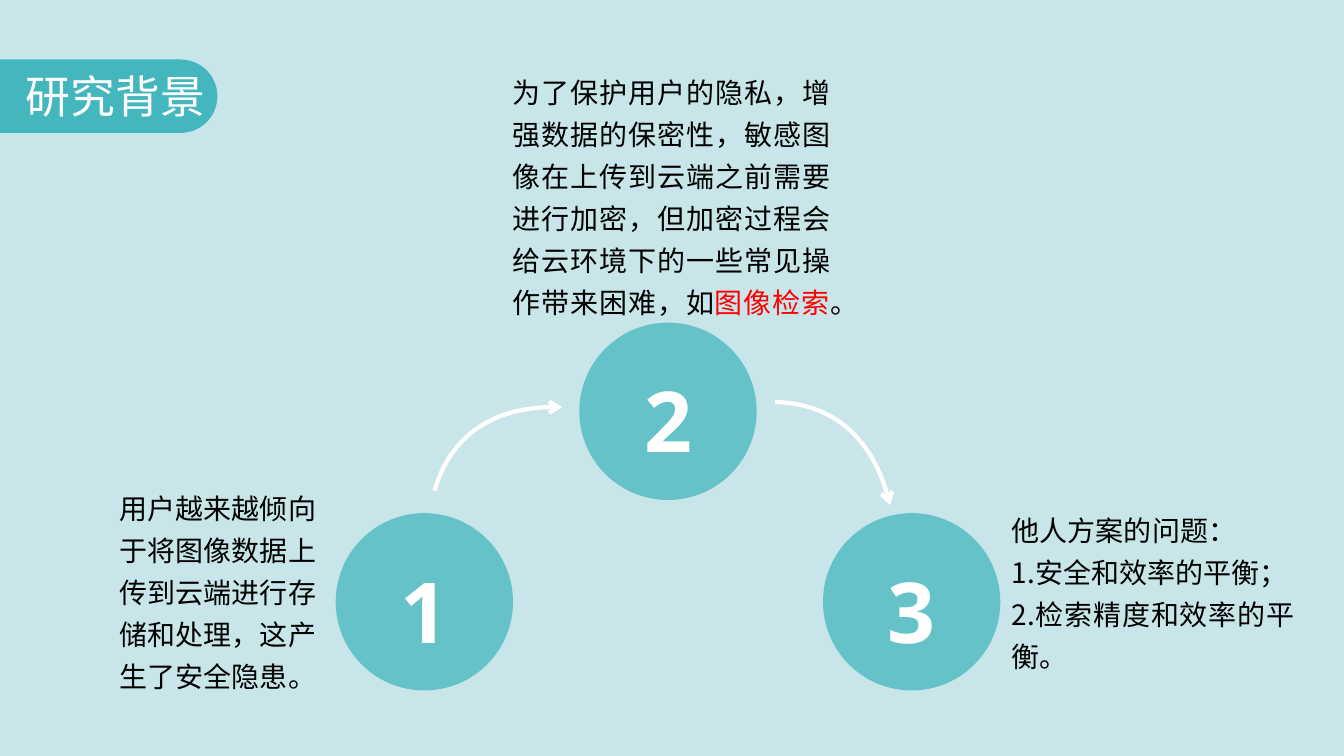
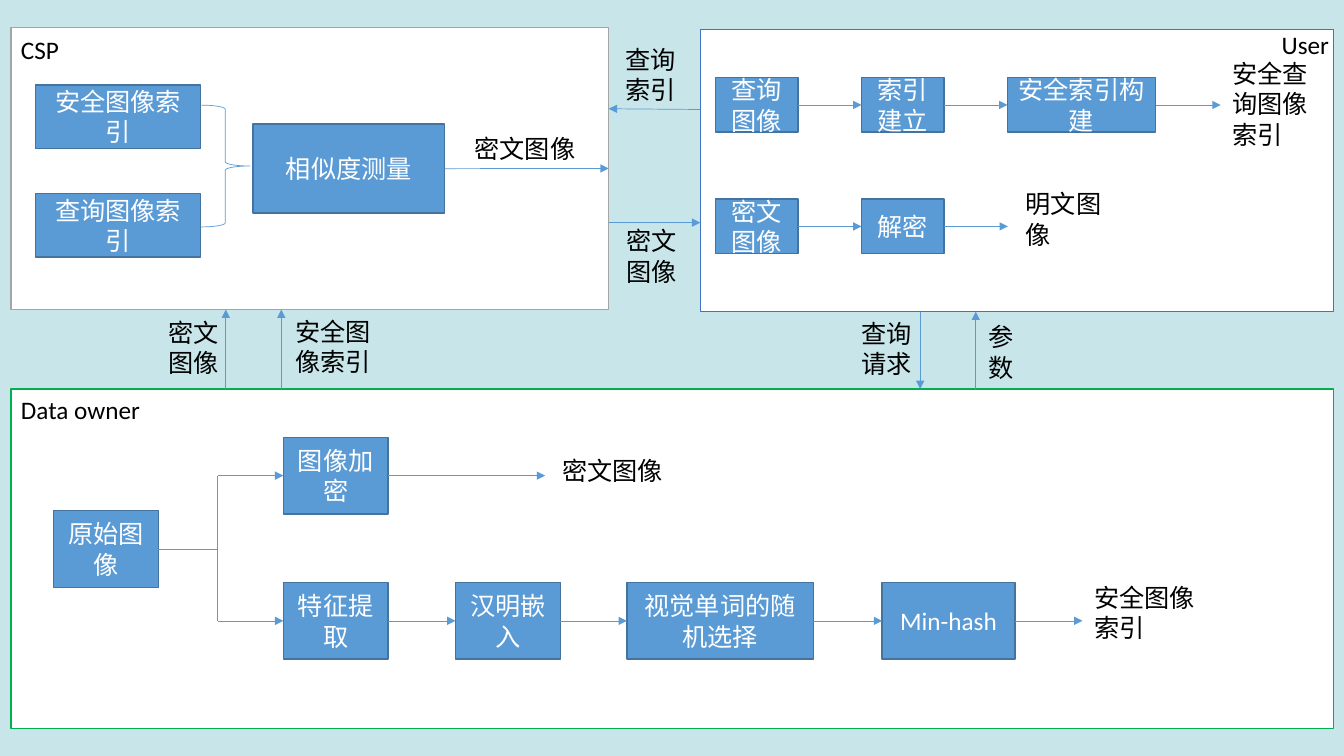
import pptx
import pptx.util
import pptx.dml.color
import pptx.enum.lang
import pptx.enum.shapes
import pptx.enum.text
import pptx.oxml.ns
from lxml import etree

Cm = pptx.util.Cm
Pt = pptx.util.Pt
qn = pptx.oxml.ns.qn
KIND = pptx.enum.shapes.MSO_SHAPE
ALIGN = pptx.enum.text.PP_ALIGN
TOP, LEFT, BASE, RIGHT = range(4)

HUES = {
    "back": "C8E6EA", "teal": "44B7BE", "white": "FFFFFF", "black": "000000",
    "red": "FF0000", "blue": "5B9BD5", "edge": "43739E", "grey": "A5A5A5",
    "royal": "4472C4", "green": "00B050",
}
HAN = "Noto Sans CJK SC"


def hue(name):
    """Return the named colour."""
    return pptx.dml.color.RGBColor.from_string(HUES[name])


def style(run, size=18, face="Calibri", tint="black", bold=False):
    """Format one run of text."""
    font = run.font
    font.size, font.name, font.bold = Pt(size), face, bold
    font.color.rgb = hue(tint)
    font.language_id = pptx.enum.lang.MSO_LANGUAGE_ID.SIMPLIFIED_CHINESE
    if face == HAN:
        etree.SubElement(run.font._element, qn("a:ea"), typeface=face)


def write(frame, paras, align=ALIGN.LEFT, space=None, **look):
    """Fill a frame with paragraphs, each a list of (text, tint) runs or a string."""
    frame.word_wrap = True
    for i, parts in enumerate(paras):
        para = frame.add_paragraph() if i else frame.paragraphs[0]
        para.alignment = align
        if space:
            para.line_spacing = space
        if isinstance(parts, str):
            para.text = parts
            style(para.runs[0], **look)
            continue
        for text, tint in parts:
            run = para.add_run()
            run.text = text
            style(run, tint=tint, **look)


def label(slide, box, *paras, **look):
    """Add a wrapped text box."""
    write(slide.shapes.add_textbox(*map(Cm, box)).text_frame, paras, **look)


def shape(slide, kind, box, fill=None, line=None, width=1):
    """Add a preset shape with plain fill and line."""
    item = slide.shapes.add_shape(kind, *map(Cm, box))
    item.shadow.inherit = False
    if fill:
        item.fill.solid()
        item.fill.fore_color.rgb = hue(fill)
    else:
        item.fill.background()
    if line:
        item.line.color.rgb = hue(line)
        item.line.width = Pt(width)
    else:
        item.line.fill.background()
    return item


def tip(item, kind):
    """Put an arrowhead at the end of a line."""
    etree.SubElement(item.element.spPr.find(qn("a:ln")), qn("a:tailEnd"), type=kind)


def join(slide, start, end, head=True):
    """Link two ends, each a (shape, side) pair or an (x, y) point in cm."""
    ends = [(0, 0) if hasattr(a, "text_frame") else (Cm(a), Cm(b)) for a, b in (start, end)]
    link = slide.shapes.add_connector(
        pptx.enum.shapes.MSO_CONNECTOR.STRAIGHT, *ends[0], *ends[1])
    for (what, side), glue in ((start, link.begin_connect), (end, link.end_connect)):
        if hasattr(what, "text_frame"):
            glue(what, side)
    link.line.color.rgb = hue("blue")
    link.line.width = Pt(0.5)
    if head:
        tip(link, "triangle")
    etree.SubElement(link.element.spPr, qn("a:effectLst"))


def node(slide, box, text):
    """Add a blue process box."""
    item = shape(slide, KIND.RECTANGLE, box, "blue", "edge")
    write(item.text_frame, [text], ALIGN.CENTER, tint="white")
    return item


def chain(slide, nodes, end):
    """Link nodes from left to right, then point to the x of the end."""
    for a, b in zip(nodes, nodes[1:]):
        join(slide, (a, RIGHT), (b, LEFT))
    last = nodes[-1]
    join(slide, (last, RIGHT), (end, (last.top + last.height / 2) / Cm(1)))


def shift(box):
    """Return a function that moves a box or point into the given box."""
    return lambda x, y, *size: (box[0] + x, box[1] + y, *size)


def banner(slide, box, title):
    """Draw the title band with its round end."""
    x, y, w, h = box
    shape(slide, KIND.RECTANGLE, (x, y, w - h / 2, h), "teal")
    shape(slide, KIND.OVAL, (x + w - h, y, h, h), "teal")
    label(slide, (x, y + 0.1, w + 0.35, h - 0.2), title,
          align=ALIGN.CENTER, size=32, face=HAN, tint="white")


def step(slide, box, text):
    """Draw a numbered disc."""
    disc = shape(slide, KIND.OVAL, box, "teal")
    fill = disc.element.spPr.find(qn("a:solidFill"))
    etree.SubElement(fill[0], qn("a:alpha"), val="75000")
    disc.text_frame.margin_top, disc.text_frame.margin_bottom = Cm(0.4), 0
    write(disc.text_frame, [text], ALIGN.CENTER,
          size=60, face="Open Sans", tint="white", bold=True)


def curve(slide, start, *rest):
    """Draw a white curved arrow from a start, two controls and an end."""
    pen = slide.shapes.build_freeform(*map(Cm, start))
    pen.add_line_segments([tuple(map(Cm, p)) for p in rest], close=False)
    item = pen.convert_to_shape()
    lines = list(item.element.iter(qn("a:lnTo")))
    home = lines[0].getparent()
    bend = etree.SubElement(home, qn("a:cubicBezTo"))
    for line in lines:
        bend.append(line[0])
        home.remove(line)
    item.shadow.inherit = False
    item.fill.background()
    item.line.color.rgb = hue("white")
    item.line.width = Pt(3)
    etree.SubElement(item.element.spPr.find(qn("a:ln")), qn("a:round"))
    tip(item, "arrow")


def context(slide):
    """Build the research background slide."""
    banner(slide, (0, 1.5, 5.48, 1.85), "研究背景")
    curve(slide, (10.95, 12.37), (11.3, 11.15), (12.34, 10.19), (14.17, 10.26))
    curve(slide, (19.53, 10.13), (20.8, 10.16), (22.02, 10.92), (22.43, 12.73))
    for i, y in enumerate((12.93, 8.13, 12.93)):
        step(slide, (8.46 + 6.14 * i, y, 4.47, 4.47), str(i + 1))
    look = dict(space=1.25, size=20, face=HAN)
    label(slide, (2.77, 12.04, 5.72, 5.54),
          "用户越来越倾向于将图像数据上传到云端进行存储和处理，这产生了安全隐患。", **look)
    look["align"] = ALIGN.JUSTIFY
    label(slide, (12.67, 1.57, 8.51, 7.24),
          [("为了保护用户的隐私，增强数据的保密性，敏感图像在上传到云端之前需要进行加密，"
            "但加密过程会给云环境下的一些常见操作带来困难，如", "black"),
           ("图像检索", "red"), ("。", "black")], **look)
    label(slide, (25.25, 12.6, 7.62, 5.41), "他人方案的问题：",
          "1.安全和效率的平衡；", "2.检索精度和效率的平衡。", **look)


def cloud(slide, box):
    """Draw the cloud provider panel."""
    at = shift(box)
    panel = shape(slide, KIND.RECTANGLE, box, "white", "grey")
    label(slide, at(0, 0.05, 2.26, 1.02), "CSP")
    for y, text in ((1.45, "安全图像索引"), (4.19, "查询图像索引")):
        node(slide, at(0.61, y, 4.17, 1.6), text)
    match = node(slide, at(6.1, 2.44, 4.83, 2.24), "相似度测量")
    join(slide, (match, RIGHT), (panel, RIGHT))
    label(slide, at(11.43, 2.54, 3.1, 1.02), "密文图像")
    shape(slide, KIND.RIGHT_BRACE, at(4.78, 1.96, 1.24, 3.07), None, "blue", 0.5)


def client(slide, box):
    """Draw the user panel."""
    at = shift(box)
    shape(slide, KIND.RECTANGLE, box, "white", "royal")
    label(slide, at(14.4, -0.13, 1.78, 1.02), "User")
    rows = (
        (1.22, (("查询图像", 2.08), ("索引建立", 2.08), ("安全索引构建", 3.73)), 13.11),
        (4.28, (("密文图像", 2.08), ("解密", 2.08)), 7.75),
    )
    for y, cells, end in rows:
        nodes = [node(slide, at(0.38 + 3.68 * i, y, w, 1.37), text)
                 for i, (text, w) in enumerate(cells)]
        chain(slide, nodes, box[0] + end)
    label(slide, at(13.16, 0.61, 2.51, 2.57), "安全查询图像索引")
    label(slide, at(7.95, 3.89, 2.51, 1.8), "明文图像")


def owner(slide, box):
    """Draw the data owner panel."""
    at = shift(box)
    shape(slide, KIND.RECTANGLE, box, "white", "green")
    label(slide, at(0, 0, 3.73, 1.02), "Data owner")
    high, low, tall, trunk = 1.22, 4.88, 1.93, 5.21
    source = node(slide, at(1.07, 3.07, 2.64, tall), "原始图像")
    crypt = node(slide, at(6.86, high, 2.64, tall), "图像加密")
    cells = ((6.86, 2.64, "特征提取"), (11.2, 2.64, "汉明嵌入"),
             (15.52, 4.7, "视觉单词的随机选择"), (21.95, 3.35, "Min-hash"))
    nodes = [node(slide, at(x, low, w, tall), text) for x, w, text in cells]
    mids = [y + tall / 2 for y in (high, low)]
    join(slide, (source, RIGHT), at(trunk, 3.07 + tall / 2), head=False)
    join(slide, at(trunk, mids[0]), at(trunk, mids[1]), head=False)
    for y, goal in zip(mids, (crypt, nodes[0])):
        join(slide, at(trunk, y), (goal, LEFT))
    chain(slide, [crypt], box[0] + 13.46)
    chain(slide, nodes, box[0] + 27)
    label(slide, at(13.64, 1.55, 3.1, 1.02), "密文图像")
    label(slide, at(27.05, 4.75, 3.15, 2.57), "安全图像索引")


def links(slide, csp, user, data):
    """Draw the labelled arrows between the panels."""
    side, wall, roof = csp[0] + csp[2], user[0], data[1]
    floor, foot = csp[1] + csp[3], user[1] + user[3]
    flows = (
        ((wall, 2.76), (side, 2.74), (15.52, 0.99, 1.83, 1.8), "查询索引"),
        ((side, 5.61), (wall, 5.61), (15.54, 5.56, 2.01, 1.8), "密文图像"),
        ((5.69, roof), (5.69, floor), (3.99, 7.87, 2.18, 1.8), "密文图像"),
        ((7.09, roof), (7.09, floor), (7.19, 7.85, 2.57, 1.8), "安全图像索引"),
        ((23.19, foot), (23.19, roof), (21.46, 7.9, 2.18, 1.8), "查询请求"),
        ((24.59, roof), (24.59, foot), (24.66, 7.98, 1.75, 1.8), "参数"),
    )
    for start, end, box, text in flows:
        join(slide, start, end)
        label(slide, box, text)


def scheme(slide):
    """Build the system diagram slide."""
    csp = (0.28, 0.69, 15.06, 7.11)
    user = (17.65, 0.74, 15.95, 7.11)
    data = (0.28, 9.8, 33.32, 8.56)
    cloud(slide, csp)
    client(slide, user)
    owner(slide, data)
    links(slide, csp, user, data)


def main():
    """Build and save the deck."""
    deck = pptx.Presentation()
    deck.slide_width, deck.slide_height = Cm(33.87), Cm(19.05)
    for build in (context, scheme):
        slide = deck.slides.add_slide(deck.slide_layouts[6])
        slide.background.fill.solid()
        slide.background.fill.fore_color.rgb = hue("back")
        build(slide)
    deck.save("out.pptx")


if __name__ == "__main__":
    main()
